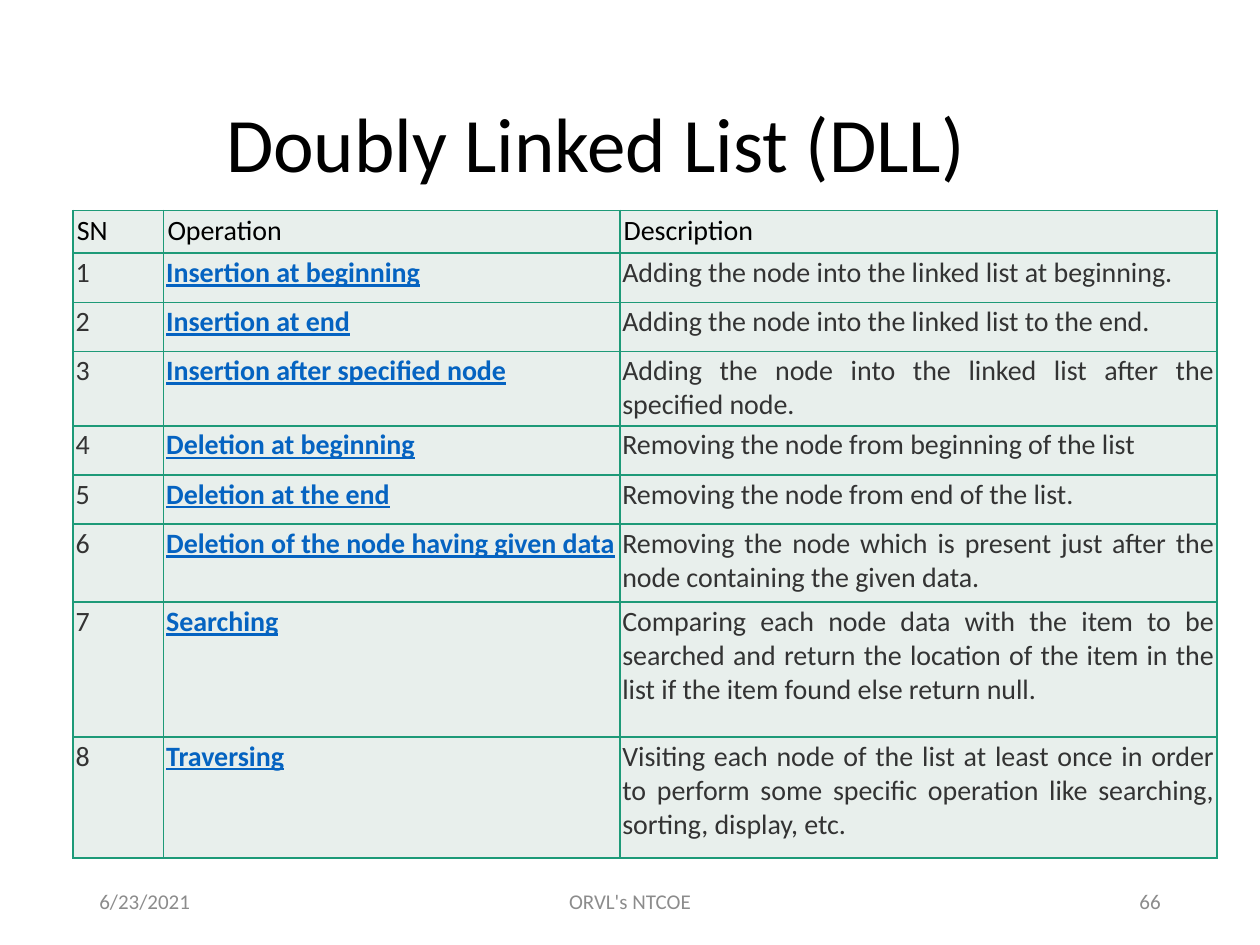
import pptx
import pptx.dml.color
import pptx.enum.text
import pptx.oxml
import pptx.oxml.ns
import pptx.util
from pptx.util import Inches

ALIGN = pptx.enum.text.PP_ALIGN
MIDDLE = pptx.enum.text.MSO_ANCHOR.MIDDLE
FONT = "Calibri"
BORDER = "1D9A78"
CELL_FILL = "E8EFEC"
HEADER = ("SN", "Operation", "Description")
OPERATIONS = [
    ("Insertion at beginning", "Adding the node into the linked list at beginning."),
    ("Insertion at end", "Adding the node into the linked list to the end."),
    ("Insertion after specified node",
     "Adding the node into the linked list after the specified node."),
    ("Deletion at beginning", "Removing the node from beginning of the list"),
    ("Deletion at the end", "Removing the node from end of the list."),
    ("Deletion of the node having given data",
     "Removing the node which is present just after the node containing the given data."),
    ("Searching",
     "Comparing each node data with the item to be searched and return the location "
     "of the item in the list if the item found else return null."),
    ("Traversing",
     "Visiting each node of the list at least once in order to perform some specific "
     "operation like searching, sorting, display, etc."),
]
COLUMN_WIDTHS = (0.72, 3.62, 4.74)
ROW_HEIGHTS = (0.34, 0.39, 0.39, 0.59, 0.39, 0.39, 0.62, 1.07, 0.96)


def rgb(value):
    return pptx.dml.color.RGBColor.from_string(value)


def add_run(paragraph, text, size, color, bold=False, underline=False):
    run = paragraph.add_run()
    run.text = text
    run.font.name = FONT
    run.font.size = pptx.util.Pt(size)
    run.font.bold = bold
    run.font.underline = underline
    run.font.color.rgb = rgb(color)


def add_title(slide, text):
    title = slide.shapes.title
    title.left, title.top = Inches(0.42), Inches(0.45)
    title.width, title.height = Inches(8.62), Inches(1.45)
    title.text_frame.vertical_anchor = MIDDLE
    paragraph = title.text_frame.paragraphs[0]
    paragraph.alignment = ALIGN.CENTER
    paragraph.line_spacing = 0.9
    add_run(paragraph, text, 44, "000000")


def add_footer(slide, text, left, width, alignment):
    box = slide.shapes.add_textbox(Inches(left), Inches(6.95), Inches(width), Inches(0.4))
    box.text_frame.word_wrap = True
    box.text_frame.vertical_anchor = MIDDLE
    paragraph = box.text_frame.paragraphs[0]
    paragraph.alignment = alignment
    add_run(paragraph, text, 12, "8C8C8C")


def set_borders(cell):
    properties = cell._tc.get_or_add_tcPr()
    namespace = pptx.oxml.ns.nsdecls("a")
    for position, side in enumerate(("lnL", "lnR", "lnT", "lnB")):
        properties.insert(position, pptx.oxml.parse_xml(
            f'<a:{side} {namespace} w="12700"><a:solidFill>'
            f'<a:srgbClr val="{BORDER}"/></a:solidFill></a:{side}>'))


def fill_cell(cell, text, margin, color, alignment, emphasis):
    cell.fill.solid()
    cell.fill.fore_color.rgb = rgb(CELL_FILL)
    cell.margin_left = cell.margin_right = Inches(margin)
    cell.margin_top = cell.margin_bottom = Inches(margin)
    set_borders(cell)
    paragraph = cell.text_frame.paragraphs[0]
    paragraph.alignment = alignment
    add_run(paragraph, text, 16, color, emphasis, emphasis)


def add_operations_table(slide):
    rows = [HEADER] + [(str(number), *operation)
                       for number, operation in enumerate(OPERATIONS, 1)]
    table = slide.shapes.add_table(
        len(rows), len(HEADER), Inches(0.58), Inches(1.67),
        Inches(sum(COLUMN_WIDTHS)), Inches(sum(ROW_HEIGHTS))).table
    table.first_row = table.horz_banding = False
    for column, width in zip(table.columns, COLUMN_WIDTHS):
        column.width = Inches(width)
    for row, height in zip(table.rows, ROW_HEIGHTS):
        row.height = Inches(height)
    for row_index, texts in enumerate(rows):
        for column_index, text in enumerate(texts):
            cell = table.cell(row_index, column_index)
            if row_index == 0:
                fill_cell(cell, text, 0.03, "000000", ALIGN.LEFT, False)
            else:
                is_operation = column_index == 1
                color = "0563C1" if is_operation else "333333"
                fill_cell(cell, text, 0.02, color, ALIGN.JUSTIFY, is_operation)


def main():
    presentation = pptx.Presentation()
    presentation.slide_width = Inches(10)
    presentation.slide_height = Inches(7.5)
    slide = presentation.slides.add_slide(presentation.slide_layouts[5])
    add_title(slide, "Doubly Linked List (DLL)")
    add_footer(slide, "6/23/2021", 0.69, 2.25, ALIGN.LEFT)
    add_footer(slide, "ORVL's NTCOE", 3.31, 3.38, ALIGN.CENTER)
    add_footer(slide, "66", 7.06, 2.25, ALIGN.RIGHT)
    add_operations_table(slide)
    presentation.save("out.pptx")


if __name__ == "__main__":
    main()
